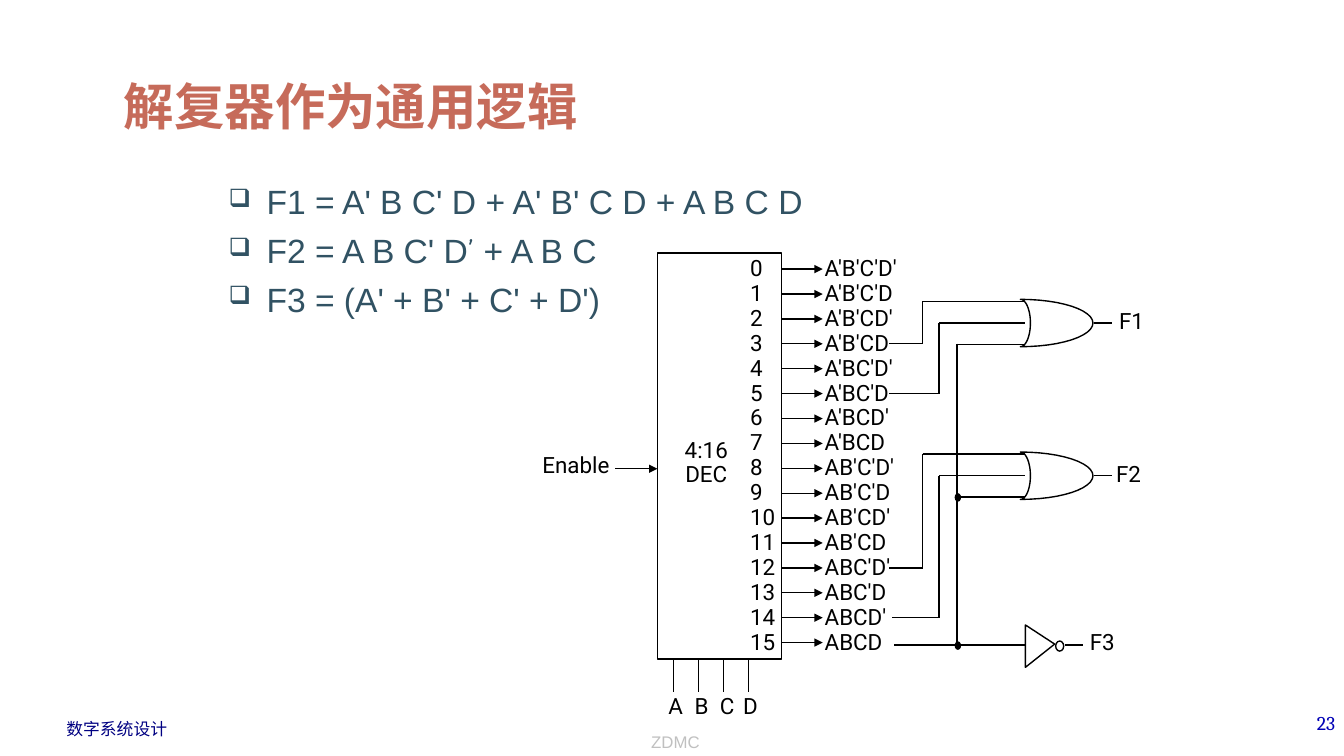
from math import cos, sin, pi
from itertools import pairwise
from lxml.etree import SubElement
from pptx import Presentation
from pptx.dml.color import RGBColor
from pptx.enum.shapes import MSO_CONNECTOR, MSO_SHAPE
from pptx.enum.text import MSO_ANCHOR, PP_ALIGN
from pptx.oxml.ns import qn
from pptx.util import Inches, Pt

BLACK = RGBColor(0, 0, 0)
CORAL = RGBColor(0xC6, 0x6B, 0x5A)
SLATE = RGBColor(0x31, 0x52, 0x63)
NAVY = RGBColor(0, 0, 0x82)
BLUE = RGBColor(0, 0, 0xB6)
GREY = RGBColor(0xC0, 0xC0, 0xC0)
HAN = "Noto Sans CJK SC"

# The grid has square cells, ten to the inch
CELL = Inches(0.1)
PITCH = 2.47            # cells between two decoder outputs
LEFT, RIGHT = 65.2, 77.5  # decoder sides
TOP, BASE = 25.1, 65.4
BUS = 94.9              # column of the wire shared by all gates
PORT = 101.7            # column where wires meet the gates


def grid(*cells):
    return [round(c * CELL) for c in cells]


def row(n):
    return 26.7 + n * PITCH


def put(slide, box, *lines, face="Roboto", size=16, color=BLACK, bold=False,
        align=PP_ALIGN.LEFT, anchor=MSO_ANCHOR.TOP, pad=(0.2, 0.3),
        lead=None, before=0, wrap=True, bullet=None, tab=None):
    """Add a text box; a line is a string or a list of (text, face)."""
    frame = slide.shapes.add_textbox(*grid(*box)).text_frame
    frame.word_wrap = wrap
    frame.vertical_anchor = anchor
    frame.margin_left = frame.margin_right = grid(pad[0])[0]
    frame.margin_top = frame.margin_bottom = grid(pad[1])[0]
    for n, line in enumerate(lines):
        para = frame.paragraphs[0] if n == 0 else frame.add_paragraph()
        para.alignment = align
        para.space_before = Pt(before)
        if lead:
            para.line_spacing = Pt(lead)
        props = para._p.get_or_add_pPr()
        if bullet:
            mark(props, bullet, color)
        if tab:
            stops = SubElement(props, qn("a:tabLst"))
            SubElement(stops, qn("a:tab"), pos=str(grid(tab)[0]), algn="l")
        runs = [(line, face)] if isinstance(line, str) else line
        for text, name in runs:
            for i, bit in enumerate(text.split("\n")):
                if i:
                    para.add_line_break()
                run = para.add_run()
                run.text = bit
                run.font.name = name
                run.font.size = Pt(size)
                run.font.bold = bold
                run.font.color.rgb = color
                SubElement(run.font._element, qn("a:ea"), typeface=HAN)


def mark(props, sign, color):
    """Give a paragraph a hanging bullet."""
    hang = grid(3.75)[0]
    props.set("marL", str(hang))
    props.set("indent", str(-hang))
    tint = SubElement(props, qn("a:buClr"))
    SubElement(tint, qn("a:srgbClr"), val=str(color))
    SubElement(props, qn("a:buSzPct"), val="75000")
    SubElement(props, qn("a:buChar"), char=sign)


def wire(slide, *points, arrow=False):
    """Join points with straight lines."""
    for start, end in pairwise(points):
        line = slide.shapes.add_connector(
            MSO_CONNECTOR.STRAIGHT, *grid(*start, *end))
        line.line.color.rgb = BLACK
        line.line.width = Pt(1)
        if arrow:
            SubElement(line.line._get_or_add_ln(), qn("a:tailEnd"),
                       type="triangle")
        SubElement(line._element.spPr, qn("a:effectLst"))


def ink(shape, solid=False):
    """Black outline, filled or hollow."""
    shape.shadow.inherit = False
    shape.line.color.rgb = BLACK
    shape.line.width = Pt(1)
    if solid:
        shape.fill.solid()
        shape.fill.fore_color.rgb = BLACK
    else:
        shape.fill.background()


def form(slide, kind, *box, solid=False):
    ink(slide.shapes.add_shape(kind, *grid(*box)), solid)


def trace(slide, points):
    pen = slide.shapes.build_freeform(*grid(*points[0]))
    pen.add_line_segments([grid(*p) for p in points[1:]], close=True)
    ink(pen.convert_to_shape())


def node(slide, y):
    form(slide, MSO_SHAPE.OVAL, BUS - 0.15, y - 0.3, 0.5, 0.7, solid=True)


def tag(slide, x, y, text, width=6):
    put(slide, (x, y, width, 6.4), text, lead=16.8)


def gate(slide, mid, name, x, first, second):
    """OR gate fed by two decoder outputs and the bus."""
    turns = [pi * (k / 24 - 0.5) for k in range(25)]
    nose = [(101.2 + 7.2 * cos(t), mid + 2.35 * sin(t)) for t in turns]
    back = [(101.2 + cos(t), mid + 2.35 * sin(t)) for t in reversed(turns)]
    trace(slide, nose + back)
    for (n, start), col, y in ((first, 91.5, mid - 2.15), (second, 93.15, mid)):
        wire(slide, (start, row(n)), (col, row(n)), (col, y), (PORT, y))
    wire(slide, (BUS, mid + 2.1), (PORT, mid + 2.1))
    wire(slide, (108.5, mid), (110.3, mid))
    tag(slide, x, mid - 1.55, name)


def decoder(slide):
    form(slide, MSO_SHAPE.RECTANGLE, LEFT, TOP, RIGHT - LEFT, BASE - TOP)
    put(slide, (64.1, 43.3, 11.9, 8.8), "4:16\nDEC", lead=16.8,
        align=PP_ALIGN.CENTER)
    tag(slide, 53.6, 44.8, "Enable", 8.5)
    wire(slide, (61, 46.5), (LEFT, 46.5), arrow=True)
    # Select inputs
    for n, (name, x) in enumerate(zip("ABCD", (66.1, 68.7, 71.2, 73.5))):
        pin = 66.8 + n * PITCH
        wire(slide, (pin, BASE), (pin, 68.7))
        tag(slide, x, 68.7, name)
    # Outputs, one product term for each number
    terms = []
    for n in range(16):
        term = "".join(c if n >> (3 - i) & 1 else c + "'"
                       for i, c in enumerate("ABCD"))
        terms.append(f"{n}\t{term}")
        wire(slide, (RIGHT, row(n)), (81.6, row(n)), arrow=True)
    put(slide, (74.2, TOP, 18, 41.4), "\n".join(terms), lead=17.8, tab=7.4)


def invert(slide, y):
    """Inverter fed by the last output."""
    wire(slide, (88.7, y), (PORT, y))
    trace(slide, [(PORT, y - 2), (104.6, y - 0.1), (PORT, y + 2.2)])
    form(slide, MSO_SHAPE.OVAL, 104.7, y - 0.4, 0.8, 1)
    wire(slide, (105.6, y), (107.4, y))
    node(slide, y)
    tag(slide, 107.9, y - 1.7, "F3")


def main():
    deck = Presentation()
    deck.slide_width, deck.slide_height = Inches(13.33), Inches(7.5)
    slide = deck.slides.add_slide(deck.slide_layouts[6])
    # Heading and formulas
    put(slide, (11.3, 4.7, 90.9, 9.2), "解复器作为通用逻辑", face=HAN, size=36,
        color=CORAL, bold=True, anchor=MSO_ANCHOR.BOTTOM, pad=(1, 0.5))
    put(slide, (21.7, 17.5, 90.3, 48.8),
        "F1 = A' B C' D + A' B' C D + A B C D",
        [("F2 = A B C' D", "Arial"), ("’", "Comic Neue"),
         (" + A B C", "Arial")],
        "F3 = (A' + B' + C' + D')",
        face="Arial", size=24, color=SLATE, pad=(1, 0.5), before=6,
        bullet="❑")
    # Circuit
    decoder(slide)
    gate(slide, 32.05, "F1", 110.8, (3, 88.2), (5, 88.2))
    gate(slide, 47.2, "F2", 110.5, (12, 88.2), (14, 88.5))
    wire(slide, (BUS, 34.1), (BUS, 64))
    node(slide, 49.3)
    invert(slide, 64)
    # Footer
    put(slide, (5.6, 70.8, 12.1, 3), "数字系统设计", face="Arial", size=12,
        color=NAVY, pad=(1, 0.5), wrap=False)
    put(slide, (34.5, 70, 65, 5.1), "ZDMC", face="Arial", size=12, color=GREY,
        align=PP_ALIGN.CENTER, anchor=MSO_ANCHOR.BOTTOM, pad=(1, 0.5))
    put(slide, (105.6, 70, 27.8, 5), "23", face="Cambria", size=14,
        color=BLUE, align=PP_ALIGN.RIGHT, pad=(1, 0.5))
    deck.save("out.pptx")


if __name__ == "__main__":
    main()
